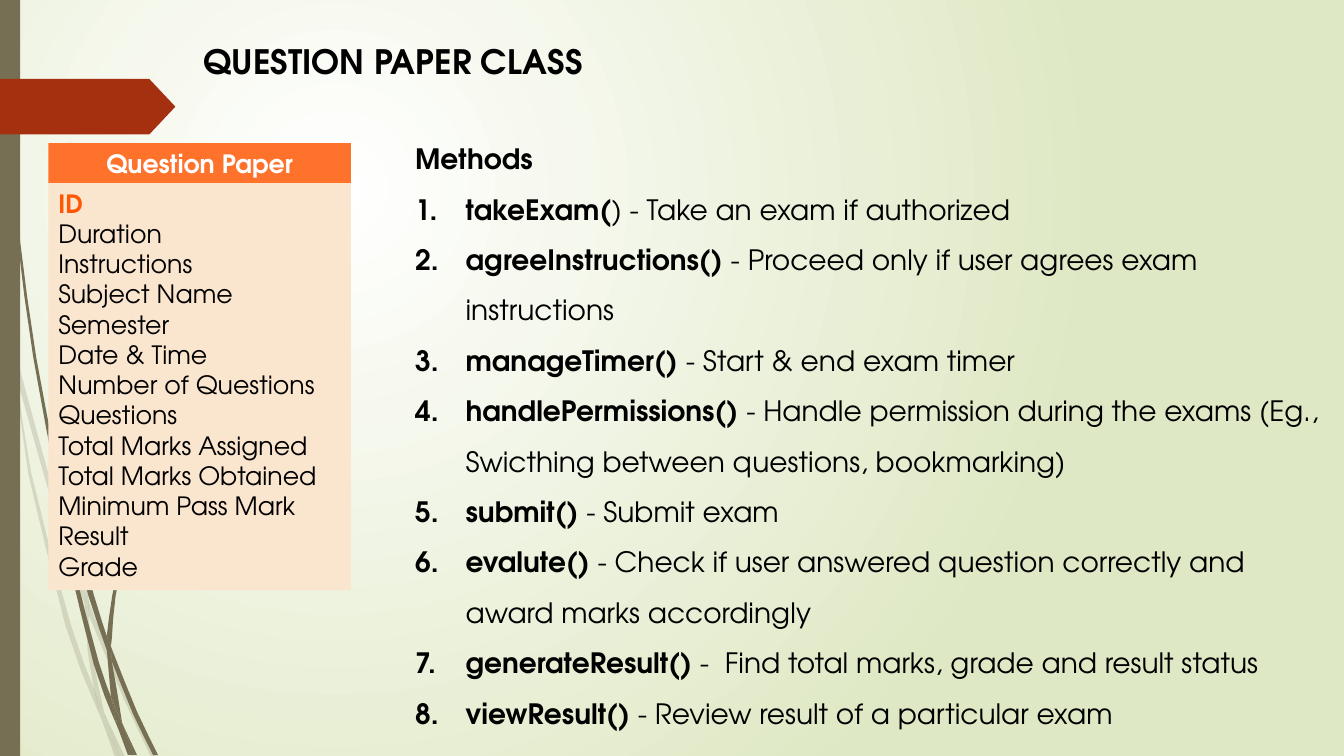
from dataclasses import dataclass

from lxml.etree import SubElement
from pptx import Presentation
from pptx.dml.color import RGBColor
from pptx.enum.shapes import MSO_SHAPE as Preset
from pptx.enum.text import MSO_ANCHOR as Anchor, MSO_AUTO_SIZE as AutoSize, PP_ALIGN as Align
from pptx.oxml.ns import qn
from pptx.util import Pt

FONT = "TeX Gyre Adventor"
OLIVE, RUST, BLACK, WHITE = "766F54", "A53010", "000000", "FFFFFF"
Point = tuple[float, float]
Frame = tuple[float, float, float, float]


@dataclass(frozen=True)
class Wisp:
    outward: str
    back: str


@dataclass(frozen=True)
class Method:
    name: str
    purpose: str


PALE_WISPS = [
    Wisp("7.9,252 6.5,231.8 0,203", "0,215.3 7.2,247.7"),
    Wisp("10.1,248.4 44.6,374.4 61.2,421.9", "60.5,431.3 41.8,375.8 12.2,270.7"),
    Wisp("63.4,429.1 66.2,437 91.4,498.2 111.6,540.7", "108,540.7 88.6,499.7 63.4,439.2"),
    Wisp("75.6,511.9 89.3,540.7", "85.7,540.7"),
    Wisp("7.9,252 12.2,270.7 22.3,337.7 50.4,445.7 67,491.8 71.3,509 72.7,514.1",
         "66.2,499 46.8,447.1 20.2,338.4"),
    Wisp("60.5,431.3 63.4,439.2 65.5,465.1 74.2,508.3 75.6,511.9",
         "69.1,498.2 67,491.8 62.6,465.1"),
    Wisp("63.4,429.1 63.4,420.5 68.6,375.8 79.2,332.6 115.2,251.3 164.9,176.4 193,142.6 224.6,110.9",
         "224.6,110.2 193,141.8 164.2,175.7 113.8,250.6 77,331.9 65.9,375.7 61.2,420.5"),
    Wisp("72.7,514.1 85.7,540.7", "82.1,540.7"),
    Wisp("61.2,421.9 63.4,429.1 63.4,439.2", "63.4,437.8 60.5,431.3"),
    Wisp("67,491.8 69.1,498.2 75.6,511.9 85.7,540.7", "72.7,514.1 71.3,509"),
]
DARK_WISPS = [
    Wisp("2.2,0 2.9,34.6 5,79.2 12.2,167.8 23.8,255.6 40.3,343.4 41,346.3",
         "39.6,329 39.6,326.2 25.9,255.6 13.7,167 5.8,78.5 3.6,34.6 2.9,0"),
    Wisp("43.2,339.8 67,424.8 76.3,454.3 76.3,455.8", "76.3,464.4 63.4,426.2 46.1,363.6"),
    Wisp("79.2,461.5 81.4,467.3 97.9,508.3 113,539.3", "109.4,539.3 95,509.8 79.9,472.3"),
    Wisp("41,343.4 46.1,363.6 51.8,400.3 70.6,473 79.2,497.5 83.5,516.2 84.2,519.8",
         "79.9,509.8 67,474.5 49,401"),
    Wisp("43.2,339.8 41.8,326.2 38.9,251.3 41.8,176.4 45.4,139 50.4,101.5",
         "44.6,139 40.3,176.4 37.4,251.3 39.6,323.3"),
    Wisp("87.8,517.7 97.9,539.3", "95.8,539.3"),
    Wisp("79.2,461.5 79.9,455.8 82.5,426.3 90,397.4 113.8,342.7 147.6,292.3 166.3,269.3 187.9,247.7",
         "187.2,247.7 166.3,268.6 146.9,291.6 112.3,341.3 87.8,396.7 80.2,425.3 76.3,454.3"),
    Wisp("84.2,519.8 94.3,539.3", "91.4,539.3"),
    Wisp("76.3,464.4 79.9,472.3 87.1,515.5 87.8,517.7", "83.5,508.3 79.2,497.5"),
    Wisp("76.3,454.3 79.2,461.5 79.9,472.3", "78.5,468.7 76.3,464.4"),
    Wisp("79.2,497.5 83.5,508.3 87.8,517.7 95.8,539.3", "93.6,539.3 84.2,519.8 83.5,516.2"),
]
FIELDS = ["ID", "Duration", "Instructions", "Subject Name", "Semester", "Date & Time",
          "Number of Questions", "Questions", "Total Marks Assigned",
          "Total Marks Obtained", "Minimum Pass Mark", "Result", "Grade"]
METHODS = [
    Method("takeExam(", ") - Take an exam if authorized"),
    Method("agreeInstructions()", " - Proceed only if user agrees exam instructions"),
    Method("manageTimer() ", "- Start & end exam timer"),
    Method("handlePermissions()", " - Handle permission during the exams (Eg., "
           "Swicthing between questions, bookmarking)"),
    Method("submit()", " - Submit exam"),
    Method("evalute()", " - Check if user answered question correctly and "
           "award marks accordingly"),
    Method("generateResult()", " -  Find total marks, grade and result status"),
    Method("viewResult()", " - Review result of a particular exam"),
]


def colour(code: str) -> RGBColor:
    return RGBColor.from_string(code)


def paint(shape, code: str) -> None:
    shape.shadow.inherit = False
    shape.fill.solid()
    shape.fill.fore_color.rgb = colour(code)
    shape.line.fill.background()


def smooth(edge: str) -> list[Point]:
    points = [tuple(map(float, pair.split(","))) for pair in edge.split()]
    padded = [points[0], *points, points[-1]]
    curve = [points[0]]
    for p0, p1, p2, p3 in zip(padded, padded[1:], padded[2:], padded[3:]):
        middle = tuple((9 * (b + c) - a - d) / 16 for a, b, c, d in zip(p0, p1, p2, p3))
        curve += [middle, p2] if len(points) > 2 else [p2]
    return curve


def draw_wisps(page, wisps: list[Wisp], opacity: int) -> None:
    group = page.shapes.add_group_shape()
    for wisp in wisps:
        outline = smooth(wisp.outward) + smooth(wisp.back)
        start, *rest = [(Pt(x), Pt(y)) for x, y in outline]
        builder = group.shapes.build_freeform(*start)
        builder.add_line_segments(rest, close=True)
        shape = builder.convert_to_shape()
        paint(shape, OLIVE)
        if opacity < 100:
            tint = shape._element.spPr.find(".//" + qn("a:srgbClr"))
            SubElement(tint, qn("a:alpha"), val=str(opacity * 1000))


def draw_shape(page, preset: Preset, frame: Frame, code: str):
    shape = page.shapes.add_shape(preset, *map(Pt, frame))
    paint(shape, code)
    return shape


def draw_box(page, frame: Frame):
    box = page.shapes.add_textbox(*map(Pt, frame))
    box.text_frame.word_wrap = True
    box.text_frame.auto_size = AutoSize.SHAPE_TO_FIT_TEXT
    return box


def style(para, size: float, code: str = BLACK, bold: bool | None = None,
          align: Align = Align.LEFT) -> None:
    para.alignment = align
    para.font.name = FONT
    para.font.size = Pt(size)
    para.font.color.rgb = colour(code)
    para.font.bold = bold


def write_lines(shape, lines: list[str]) -> list:
    shape.text_frame.text = "\n".join(lines)
    return list(shape.text_frame.paragraphs)


def draw_background(page) -> None:
    fill = page.background.fill
    fill.gradient()
    for stop, position, code in zip(fill.gradient_stops, (0, 1), (WHITE, "DFE8C4")):
        stop.position = position
        stop.color.rgb = colour(code)
    gradient = page._element.find(".//" + qn("a:gradFill"))
    gradient.remove(gradient.find(qn("a:lin")))
    ring = SubElement(gradient, qn("a:path"), path="circle")
    SubElement(ring, qn("a:fillToRect"), l="50000", t="50000", r="100000", b="100000")


def draw_class_card(page) -> None:
    header = draw_shape(page, Preset.RECTANGLE, (34.6, 102.3, 216, 28.7), "FF722B")
    style(write_lines(header, ["Question Paper"])[0], 18, WHITE, True, Align.CENTER)
    body = draw_shape(page, Preset.RECTANGLE, (34.6, 130.8, 216, 290.8), "FAE5CF")
    body.text_frame.vertical_anchor = Anchor.TOP
    for index, para in enumerate(write_lines(body, FIELDS)):
        style(para, 18, BLACK if index else "FF5805", index == 0)


def draw_methods(page) -> None:
    frame = draw_box(page, (289.5, 85.7, 663.1, 439.2)).text_frame
    frame.text = "Methods"
    frame.paragraphs[0].line_spacing = 1.5
    style(frame.paragraphs[0], 20, bold=True)
    for method in METHODS:
        para = frame.add_paragraph()
        para.line_spacing = 1.5
        style(para, 20)
        for text, bold in ((method.name, True), (method.purpose, False)):
            span = para.add_run()
            span.text, span.font.bold = text, bold
        props = para._p.get_or_add_pPr()
        props.set("marL", str(Pt(36)))
        props.set("indent", str(-Pt(36)))
        number = props.makeelement(qn("a:buAutoNum"), {"type": "arabicPeriod"})
        props.find(qn("a:defRPr")).addprevious(number)


def main() -> None:
    deck = Presentation()
    deck.slide_width, deck.slide_height = Pt(960), Pt(540)
    page = deck.slides.add_slide(deck.slide_layouts[6])
    draw_background(page)
    draw_wisps(page, PALE_WISPS, 20)
    draw_wisps(page, DARK_WISPS, 100)
    draw_shape(page, Preset.RECTANGLE, (0, 0, 14.4, 540), OLIVE)
    tag = draw_shape(page, Preset.PENTAGON, (0, 56.4, 125.3, 39.6), RUST)
    tag.adjustments[0] = 0.47
    draw_class_card(page)
    draw_methods(page)
    title = draw_box(page, (138.2, 25.9, 302.4, 36))
    style(write_lines(title, ["QUESTION PAPER CLASS"])[0], 24, bold=True)
    deck.save("out.pptx")


if __name__ == "__main__":
    main()
